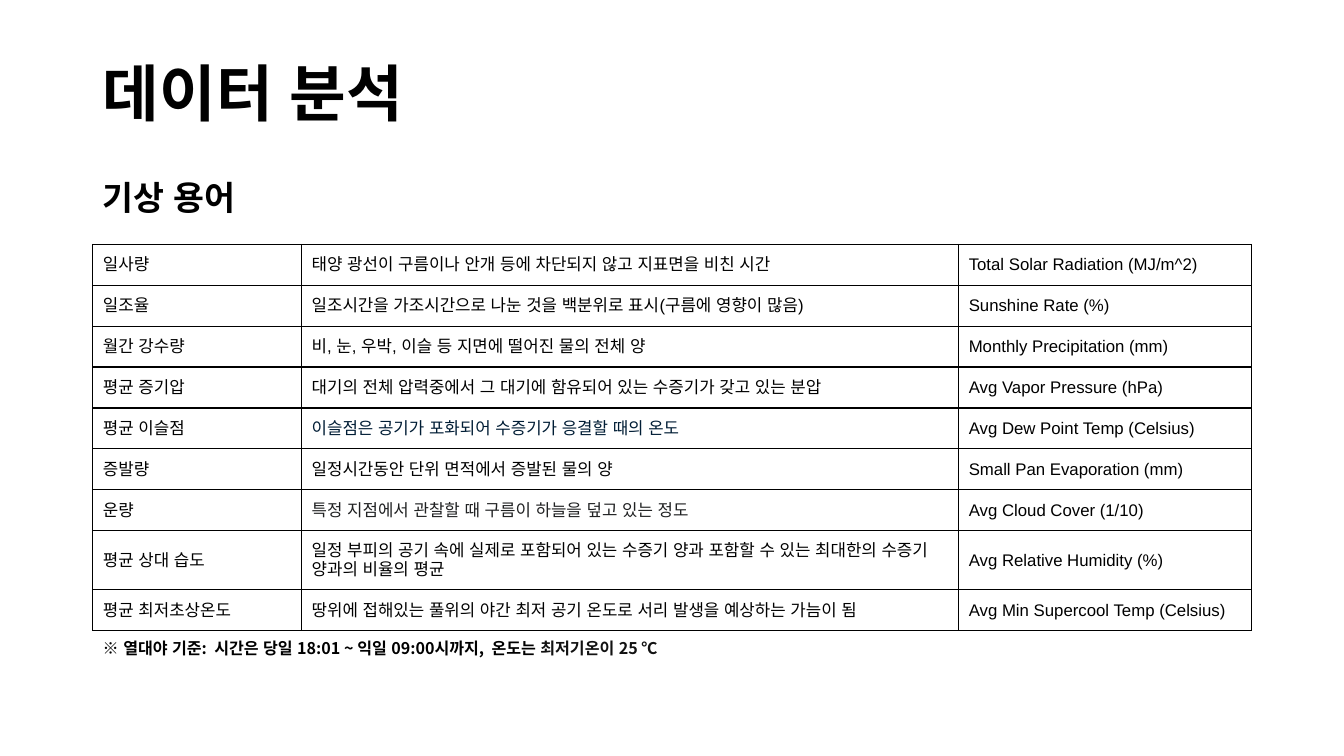
from lxml import etree
from pptx import Presentation
from pptx.dml.color import RGBColor
from pptx.enum import text
from pptx.oxml import ns
from pptx.util import Cm, Pt

TITLE = "데이터 분석"
SUBTITLE = "기상 용어"
TERMS = [
    ("일사량", "태양 광선이 구름이나 안개 등에 차단되지 않고 지표면을 비친 시간",
     "Total Solar Radiation (MJ/m^2)"),
    ("일조율", "일조시간을 가조시간으로 나눈 것을 백분위로 표시(구름에 영향이 많음)",
     "Sunshine Rate (%)"),
    ("월간 강수량", "비, 눈, 우박, 이슬 등 지면에 떨어진 물의 전체 양",
     "Monthly Precipitation (mm)"),
    ("평균 증기압", "대기의 전체 압력중에서 그 대기에 함유되어 있는 수증기가 갖고 있는 분압",
     "Avg Vapor Pressure (hPa)"),
    ("평균 이슬점", "이슬점은 공기가 포화되어 수증기가 응결할 때의 온도",
     "Avg Dew Point Temp (Celsius)"),
    ("증발량", "일정시간동안 단위 면적에서 증발된 물의 양",
     "Small Pan Evaporation (mm)"),
    ("운량", "특정 지점에서 관찰할 때 구름이 하늘을 덮고 있는 정도",
     "Avg Cloud Cover (1/10)"),
    ("평균 상대 습도",
     "일정 부피의 공기 속에 실제로 포함되어 있는 수증기 양과 포함할 수 있는 최대한의 수증기 양과의 비율의 평균",
     "Avg Relative Humidity (%)"),
    ("평균 최저초상온도", "땅위에 접해있는 풀위의 야간 최저 공기 온도로 서리 발생을 예상하는 가늠이 됨",
     "Avg Min Supercool Temp (Celsius)"),
]
NOTE = [("※ 열대야 기준:  시간은 당일 18:01 ~ 익일 09:00시까지,  온도는 ", "ink"),
        ("최저기온이 25 ℃", "note_ink")]
TERM_INK = {"평균 이슬점": "navy", "운량": "charcoal"}
TWO_LINE_TERMS = {"평균 상대 습도"}

THEME = {
    "latin": "Arial", "korean": "Noto Sans CJK KR",
    "ink": "000000", "note_ink": "121212", "navy": "001D35", "charcoal": "202122",
    "title": 44, "subtitle": 24, "cell": 12, "note": 11.5, "border": 1,
}
LEFT, WIDTH = Cm(2.34), Cm(29.21)
COLUMNS = [Cm(5.26), Cm(16.56), Cm(7.37)]
TABLE_TOP, ROW_HEIGHT, TWO_LINE_HEIGHT = Cm(6.16), Cm(1.03), Cm(1.49)


def style_run(r, size, ink="ink", bold=False, font="latin"):
    r.font.name = THEME[font]
    r.font.size = Pt(THEME[size])
    r.font.bold = bold
    r.font.color.rgb = RGBColor.from_string(THEME[ink])
    latin = r.font._element.find(ns.qn("a:latin"))
    ea = etree.Element(ns.qn("a:ea"), typeface=THEME["latin"])
    latin.addnext(ea)


def add_text(slide, top, width, height, parts, size, anchor, font="latin",
             margin=Cm(0.13), spacing=None):
    """Add a bold one-line text box made of (text, ink) parts."""
    tf = slide.shapes.add_textbox(LEFT, top, width, height).text_frame
    tf.word_wrap = True
    tf.vertical_anchor = anchor
    tf.margin_left = tf.margin_right = Cm(0.25)
    tf.margin_top = tf.margin_bottom = margin
    p = tf.paragraphs[0]
    p.line_spacing = spacing
    for words, ink in parts:
        r = p.add_run()
        r.text = words
        style_run(r, size, ink, True, font)


def set_borders(cell):
    tc_pr = cell._tc.get_or_add_tcPr()
    for i, side in enumerate(("lnL", "lnR", "lnT", "lnB")):
        ln = etree.Element(ns.qn(f"a:{side}"), w=str(Pt(THEME["border"])))
        fill = etree.SubElement(ln, ns.qn("a:solidFill"))
        etree.SubElement(fill, ns.qn("a:srgbClr"), val=THEME["ink"])
        tc_pr.insert(i, ln)


def add_terms(slide):
    heights = [TWO_LINE_HEIGHT if term[0] in TWO_LINE_TERMS else ROW_HEIGHT
               for term in TERMS]
    table = slide.shapes.add_table(len(TERMS), len(COLUMNS), LEFT, TABLE_TOP,
                                   sum(COLUMNS), sum(heights)).table
    table.first_row = table.horz_banding = False
    for column, width in zip(table.columns, COLUMNS):
        column.width = width
    for i, term in enumerate(TERMS):
        table.rows[i].height = heights[i]
        for j, words in enumerate(term):
            cell = table.cell(i, j)
            cell.fill.background()
            cell.vertical_anchor = text.MSO_ANCHOR.MIDDLE
            set_borders(cell)
            p = cell.text_frame.paragraphs[0]
            p.text = words
            ink = TERM_INK.get(term[0], "ink") if j == 1 else "ink"
            style_run(p.runs[0], "cell", ink)


def main():
    prs = Presentation()
    prs.slide_width, prs.slide_height = Cm(33.87), Cm(19.05)
    slide = prs.slides.add_slide(prs.slide_layouts[6])
    add_text(slide, Cm(1.02), WIDTH, Cm(2.82), [(TITLE, "ink")], "title",
             text.MSO_ANCHOR.MIDDLE, spacing=0.9)
    add_text(slide, Cm(3.96), WIDTH, Cm(1.65), [(SUBTITLE, "ink")], "subtitle",
             text.MSO_ANCHOR.BOTTOM, spacing=0.9)
    add_terms(slide)
    add_text(slide, Cm(15.85), Cm(28.52), Cm(1.02), NOTE, "note",
             text.MSO_ANCHOR.TOP, font="korean", margin=Cm(0.25))
    prs.save("out.pptx")


if __name__ == "__main__":
    main()
